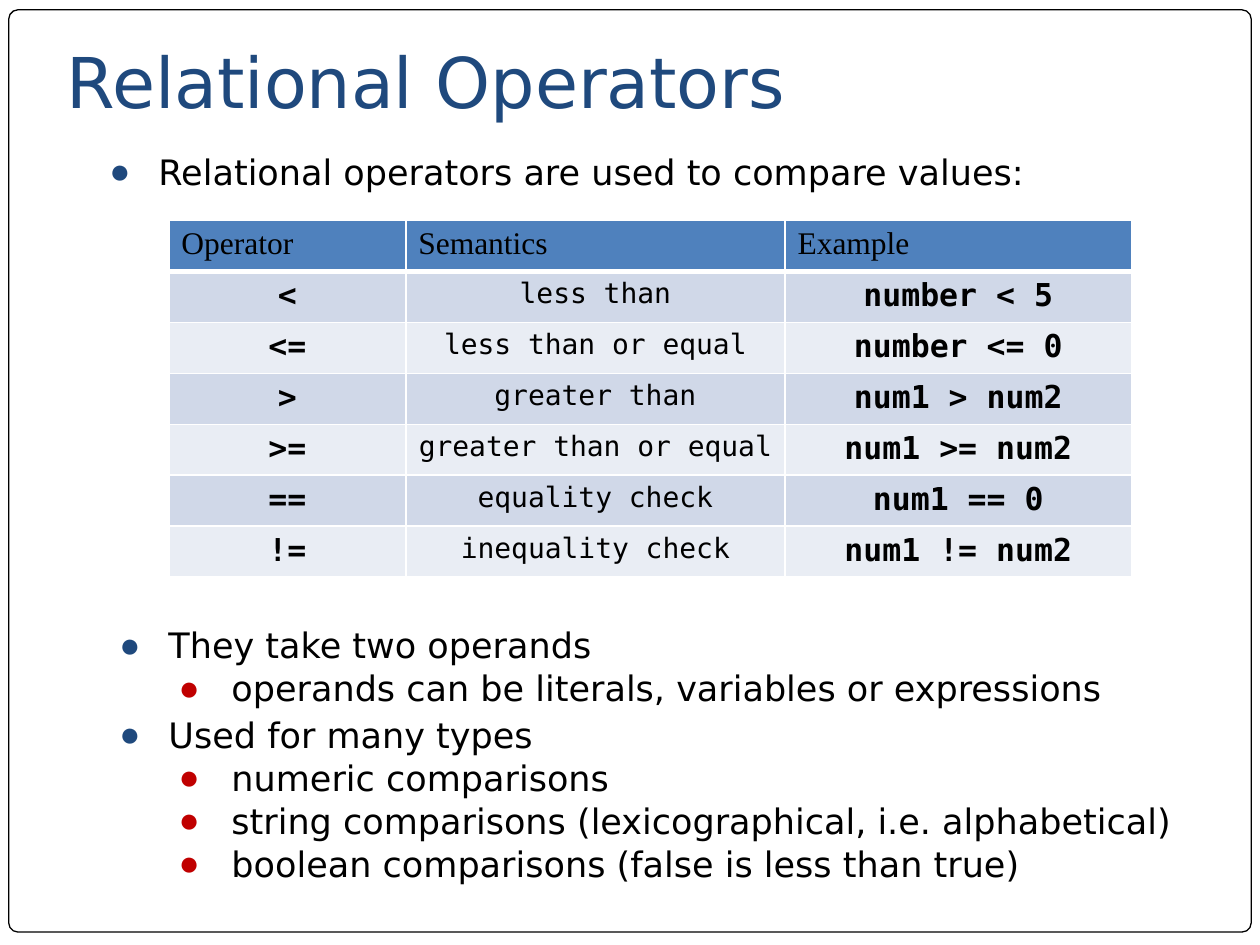
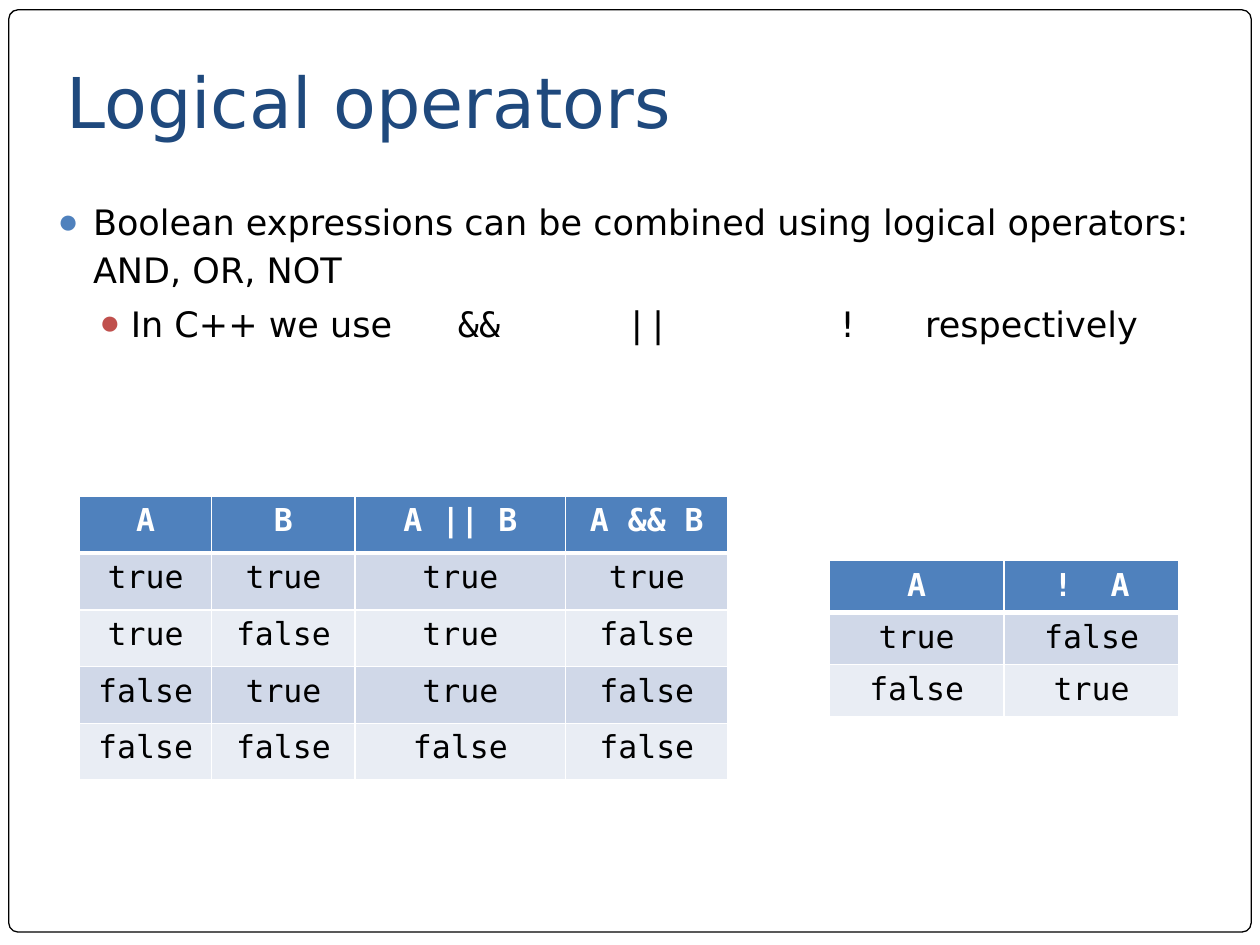
import lxml.etree
import pptx
import pptx.dml.color
import pptx.enum.shapes
import pptx.enum.text
import pptx.oxml.ns
import pptx.util

Pt = pptx.util.Pt
RGBColor = pptx.dml.color.RGBColor
ALIGN = pptx.enum.text.PP_ALIGN
ANCHOR = pptx.enum.text.MSO_ANCHOR
qn = pptx.oxml.ns.qn

WHITE = RGBColor(0xFF, 0xFF, 0xFF)
BLACK = RGBColor(0x00, 0x00, 0x00)
NAVY = RGBColor(0x1F, 0x49, 0x7D)
BLUE = RGBColor(0x4F, 0x81, 0xBD)
DARK_RED = RGBColor(0xC0, 0x00, 0x00)
RED = RGBColor(0xC0, 0x50, 0x4D)
BANDS = (RGBColor(0xD0, 0xD8, 0xE8), RGBColor(0xE9, 0xED, 0xF4))

SANS = "DejaVu Sans"
MONO = "DejaVu Sans Mono"
SERIF = "Times New Roman"

# Cell looks: font name, size, bold, colour, alignment
SERIF_HEAD = (SERIF, 18, False, BLACK, ALIGN.LEFT)
CODE_HEAD = (MONO, 18, True, WHITE, ALIGN.CENTER)
CODE_BOLD = (MONO, 18, True, BLACK, ALIGN.CENTER)
CODE = (MONO, 18, False, BLACK, ALIGN.CENTER)
CODE_SMALL = (MONO, 16, False, BLACK, ALIGN.CENTER)

# Bullet levels: left margin, first-line indent, space before, colour
OUTLINE = ((30.2, -28.1, 5, NAVY), (66.2, -30.2, 3, DARK_RED))
BODY = ((21.6, -20.2, 5, BLUE), (43.2, -18, 3, RED))


class Lecture:
    """Holds the lecture style and the current slide."""

    def __init__(self):
        self.deck = pptx.Presentation()
        self.deck.slide_width, self.deck.slide_height = Pt(720), Pt(540)
        self.page = None

    def add_page(self, title, title_top):
        self.page = self.deck.slides.add_slide(self.deck.slide_layouts[6])
        frame = self.page.shapes.add_shape(
            pptx.enum.shapes.MSO_SHAPE.ROUNDED_RECTANGLE, Pt(5), Pt(5.6), Pt(710), Pt(527))
        frame.adjustments[0] = 0.01
        frame.shadow.inherit = False
        frame.fill.solid()
        frame.fill.fore_color.rgb = WHITE
        frame.line.color.rgb = BLACK
        frame.line.width = Pt(0.75)
        box = self.add_box(31, title_top, 612, 64.8)
        box.margin_bottom = Pt(7.2)
        box.vertical_anchor = ANCHOR.BOTTOM
        box.text = title
        self.style(box.paragraphs[0], SANS, 40, False, NAVY)

    def add_box(self, left, top, width, height):
        box = self.page.shapes.add_textbox(Pt(left), Pt(top), Pt(width), Pt(height)).text_frame
        box.word_wrap = True
        return box

    def style(self, para, name, size, bold, color, align=ALIGN.LEFT):
        para.alignment = align
        for span in para.runs:
            span.font.name, span.font.size, span.font.bold = name, Pt(size), bold
            span.font.color.rgb = color

    def add_bullets(self, left, top, width, height, items, levels, spacing):
        box = self.add_box(left, top, width, height)
        box.text = "\n".join(text for level, text in items)
        for number, (para, (level, text)) in enumerate(zip(box.paragraphs, items)):
            margin, indent, before, color = levels[level]
            props = para._p.get_or_add_pPr()
            props.set("marL", str(Pt(margin)))
            props.set("indent", str(Pt(indent)))
            tint = lxml.etree.SubElement(props, qn("a:buClr"))
            lxml.etree.SubElement(tint, qn("a:srgbClr"), val=str(color))
            lxml.etree.SubElement(props, qn("a:buFont"), typeface=SERIF)
            lxml.etree.SubElement(props, qn("a:buChar"), char="●")
            para.level = level
            para.line_spacing = spacing
            para.space_before = Pt(before if number else 0)
            self.style(para, SANS, 20, False, BLACK)

    def add_tabbed_line(self, left, top, width, entries, stops):
        box = self.add_box(left, top, width, 24)
        box.margin_left = box.margin_right = box.margin_top = box.margin_bottom = 0
        para = box.paragraphs[0]
        tabs = lxml.etree.SubElement(para._p.get_or_add_pPr(), qn("a:tabLst"))
        for stop in stops:
            lxml.etree.SubElement(tabs, qn("a:tab"), pos=str(Pt(stop)), algn="l")
        for number, (text, name) in enumerate(entries):
            span = para.add_run()
            span.text = "\t" + text if number else text
            span.font.name, span.font.size = name, Pt(20)
            span.font.color.rgb = BLACK

    def add_grid(self, left, top, widths, row_height, rows, head, looks):
        grid = self.page.shapes.add_table(
            len(rows), len(widths), Pt(left), Pt(top),
            Pt(sum(widths)), Pt(row_height * len(rows))).table
        for column, width in zip(grid.columns, widths):
            column.width = Pt(width)
        for number, values in enumerate(rows):
            grid.rows[number].height = Pt(row_height)
            for place, value in enumerate(values):
                cell = grid.cell(number, place)
                cell.text = value
                self.style(cell.text_frame.paragraphs[0], *(looks[place] if number else head))
                self.add_borders(cell, 3 if number == 1 else 1, 1 if number else 3)
                cell.fill.solid()
                cell.fill.fore_color.rgb = BANDS[(number - 1) % 2] if number else BLUE

    def add_borders(self, cell, above, below):
        props = cell._tc.get_or_add_tcPr()
        for side, width in (("L", 1), ("R", 1), ("T", above), ("B", below)):
            line = lxml.etree.SubElement(props, qn("a:ln" + side), w=str(Pt(width)))
            fill = lxml.etree.SubElement(line, qn("a:solidFill"))
            lxml.etree.SubElement(fill, qn("a:srgbClr"), val=str(WHITE))


def main():
    lecture = Lecture()

    lecture.add_page("Relational Operators", 12.2)
    lecture.add_grid(96.5, 126, (135.4, 216.7, 198), 29.14, (
        ("Operator", "Semantics", "Example"),
        ("<", "less than", "number < 5"),
        ("<=", "less than or equal", "number <= 0"),
        (">", "greater than", "num1 > num2"),
        (">=", "greater than or equal", "num1 >= num2"),
        ("==", "equality check", "num1 == 0"),
        ("!=", "inequality check", "num1 != num2"),
    ), SERIF_HEAD, (CODE_BOLD, CODE_SMALL, CODE_BOLD))
    lecture.add_bullets(53.3, 85, 623.5, 33.8, (
        (0, "Relational operators are used to compare values:"),
    ), OUTLINE, 0.9)
    lecture.add_bullets(59, 355.7, 635, 175, (
        (0, "They take two operands"),
        (1, "operands can be literals, variables or expressions"),
        (0, "Used for many types"),
        (1, "numeric comparisons"),
        (1, "string comparisons (lexicographical, i.e. alphabetical)"),
        (1, "boolean comparisons (false is less than true)"),
    ), OUTLINE, 0.9)

    lecture.add_page("Logical operators", 23.8)
    lecture.add_bullets(24.5, 107.3, 674.6, 127.4, (
        (0, "Boolean expressions can be combined using logical operators: AND, OR, NOT"),
        (1, "In C++ we use"),
    ), BODY, 1.15)
    lecture.add_tabbed_line(261.7, 172.8, 420, (
        ("&&", MONO), ("||", MONO), ("!", MONO), ("respectively", SANS),
    ), (96.3, 216.7, 267))
    lecture.add_grid(45.4, 283.7, (75.6, 82, 120.2, 92.9), 32.4, (
        ("A", "B", "A || B", "A && B"),
        ("true", "true", "true", "true"),
        ("true", "false", "true", "false"),
        ("false", "true", "true", "false"),
        ("false", "false", "false", "false"),
    ), CODE_HEAD, (CODE,) * 4)
    lecture.add_grid(473.8, 320.4, (100, 100), 29.7, (
        ("A", "!  A"),
        ("true", "false"),
        ("false", "true"),
    ), CODE_HEAD, (CODE,) * 2)

    lecture.deck.save("out.pptx")


if __name__ == "__main__":
    main()
